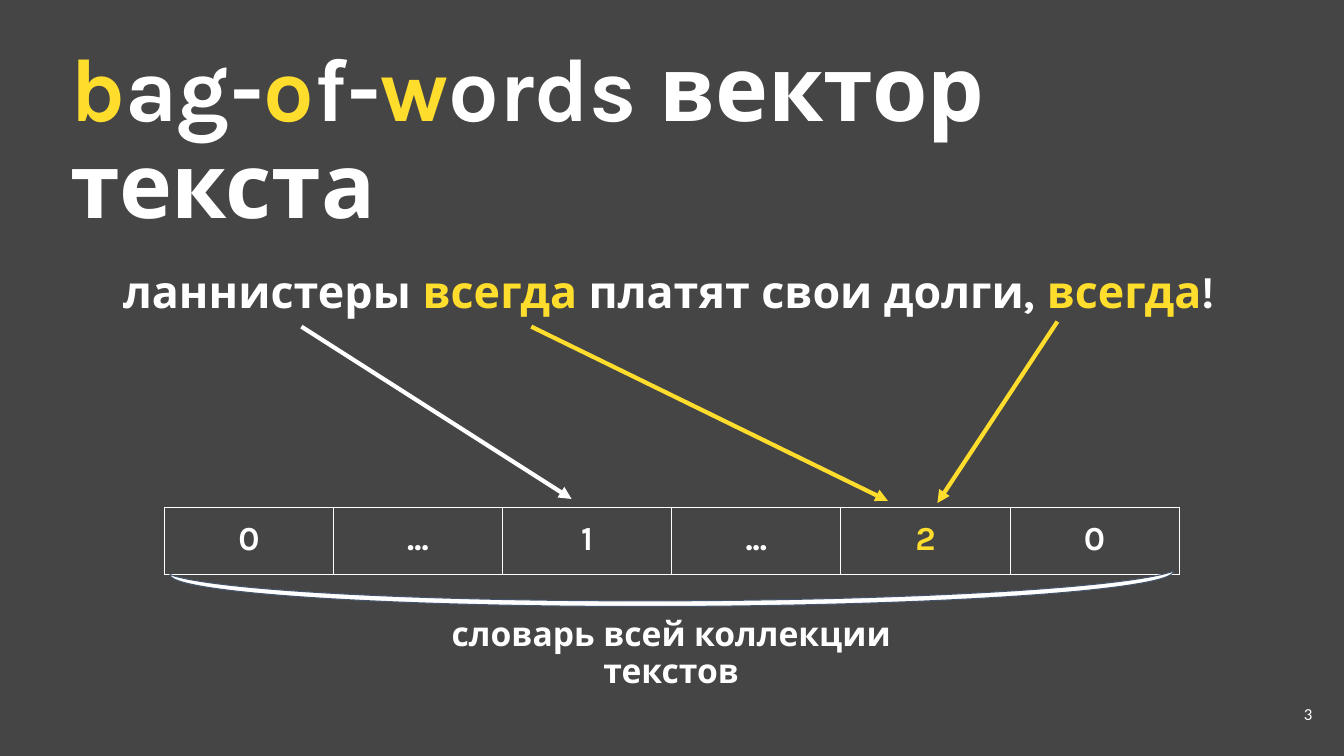
from dataclasses import dataclass
from lxml.etree import SubElement
from pptx import Presentation
from pptx.dml.color import RGBColor
from pptx.enum.shapes import MSO_CONNECTOR, MSO_SHAPE
from pptx.enum.text import MSO_ANCHOR, PP_ALIGN
from pptx.oxml import parse_xml
from pptx.oxml.ns import nsdecls, qn
from pptx.util import Pt


@dataclass(frozen=True)
class Theme:
    """Colours, fonts and type sizes of the slide."""
    back: str = "454545"
    white: str = "FFFFFF"
    gold: str = "FFDD2D"
    rim: str = "44546A"
    face: str = "Karla"
    plain: str = "Calibri"
    title: int = 64
    line: int = 32
    body: int = 24
    small: int = 12


LOOK = Theme()


def apply(item, vals):
    """Set each attribute named in a dict."""
    for name, val in vals.items():
        setattr(item, name, val)


def rgb(hue):
    """Turn a hex string into a colour."""
    return RGBColor.from_string(hue)


def write(para, parts, size, face=LOOK.face, bold=True):
    """Add runs; parts at odd places are gold, the rest white."""
    for n, part in enumerate(parts):
        run = para.add_run()
        run.text = part
        apply(run.font, {"size": Pt(size), "name": face, "bold": bold})
        run.font.color.rgb = rgb(LOOK.gold if n % 2 else LOOK.white)


def label(slide, box, parts, size, align=PP_ALIGN.LEFT, pad=9.4,
          anchor=MSO_ANCHOR.TOP, space=0.9, **font):
    """Place wrapped text in a box."""
    frame = slide.shapes.add_textbox(*map(Pt, box)).text_frame
    apply(frame, {"word_wrap": True, "vertical_anchor": anchor,
                  "margin_left": Pt(9.4), "margin_right": Pt(9.4),
                  "margin_top": Pt(pad), "margin_bottom": Pt(pad)})
    para = frame.paragraphs[0]
    apply(para, {"alignment": align, "line_spacing": space})
    write(para, parts, size, **font)


def edge(cell):
    """Give a cell a thin white border on all sides."""
    props = cell._tc.get_or_add_tcPr()
    for n, side in enumerate(("lnL", "lnR", "lnT", "lnB")):
        props.insert(n, parse_xml(
            f'<a:{side} {nsdecls("a")} w="{Pt(0.75)}"><a:solidFill>'
            f'<a:srgbClr val="{LOOK.white}"/></a:solidFill></a:{side}>'))


def vector(slide, box, vals):
    """Draw the word counts as a one-row table filling the box."""
    wide = box[2] / len(vals)
    table = slide.shapes.add_table(1, len(vals), *map(Pt, box)).table
    apply(table, {"first_row": False, "horz_banding": False})
    table.rows[0].height = Pt(box[3])
    for n, parts in enumerate(vals):
        table.columns[n].width = Pt(wide)
        cell = table.cell(0, n)
        sides = ("left", "right", "top", "bottom")
        apply(cell, {f"margin_{side}": Pt(9.4) for side in sides})
        cell.fill.background()
        edge(cell)
        para = cell.text_frame.paragraphs[0]
        para.alignment = PP_ALIGN.CENTER
        write(para, parts, LOOK.body)


def brace(slide, box):
    """Lay a thin crescent across the box, its horns pointing up."""
    left, top, wide, high = box
    mid_x, mid_y = left + wide / 2, top + high / 2
    moon = slide.shapes.add_shape(
        MSO_SHAPE.MOON, Pt(mid_x - high / 2), Pt(mid_y - wide / 2),
        Pt(high), Pt(wide))
    moon.adjustments[0] = 0.168
    moon.rotation = 269.8
    moon.shadow.inherit = False
    moon.fill.solid()
    moon.fill.fore_color.rgb = rgb(LOOK.white)
    moon.line.color.rgb = rgb(LOOK.rim)
    moon.line.width = Pt(0.75)


def arrow(slide, box, start, end, hue):
    """Draw an arrow between two points given from the box corner."""
    ends = [Pt(box[n] + spot[n]) for spot in (start, end) for n in (0, 1)]
    link = slide.shapes.add_connector(MSO_CONNECTOR.STRAIGHT, *ends)
    link.line.color.rgb = rgb(hue)
    link.line.width = Pt(3)
    SubElement(link.line._get_or_add_ln(), qn("a:tailEnd"), type="triangle")
    SubElement(link._element.spPr, qn("a:effectLst"))


def diagram(slide, box):
    """Show a sentence, its count vector and the dictionary below."""
    left, top, wide, high = box
    label(slide, (left, top, wide, 47.5),
          ["ланнистеры ", "всегда", " платят свои долги, ", "всегда", "!"],
          LOOK.line)
    row = (left + 38.9, top + 178.6, 725, 48.2)
    vector(slide, row, [["0"], ["..."], ["1"], ["..."], ["", "2"], ["0"]])
    for start, end, hue in (
            ((136.8, 49.7), (329.8, 172.8), LOOK.white),
            ((301, 49.7), (555.8, 174.2), LOOK.gold),
            ((676.8, 46.1), (591.1, 175.7), LOOK.gold)):
        arrow(slide, box, start, end, hue)
    brace(slide, (row[0] + 4, row[1] + 47, 717, 24))
    label(slide, (left + 214.5, top + high - 32.4, 373, 32.4),
          ["словарь всей коллекции текстов"], LOOK.body,
          PP_ALIGN.CENTER, pad=5)


def build():
    """Make the deck and save it."""
    deck = Presentation()
    apply(deck, {"slide_width": Pt(960), "slide_height": Pt(540)})
    slide = deck.slides.add_slide(deck.slide_layouts[6])
    slide.background.fill.solid()
    slide.background.fill.fore_color.rgb = rgb(LOOK.back)
    label(slide, (41, 22.3, 902, 84.2),
          ["", "b", "ag-", "o", "f-", "w", "ords вектор текста"], LOOK.title)
    diagram(slide, (78.5, 183.6, 802, 285.1))
    label(slide, (889.2, 489.6, 57.6, 41), ["3"], LOOK.small,
          PP_ALIGN.RIGHT, anchor=MSO_ANCHOR.MIDDLE, space=1.0,
          face=LOOK.plain, bold=False)
    deck.save("out.pptx")


build()
